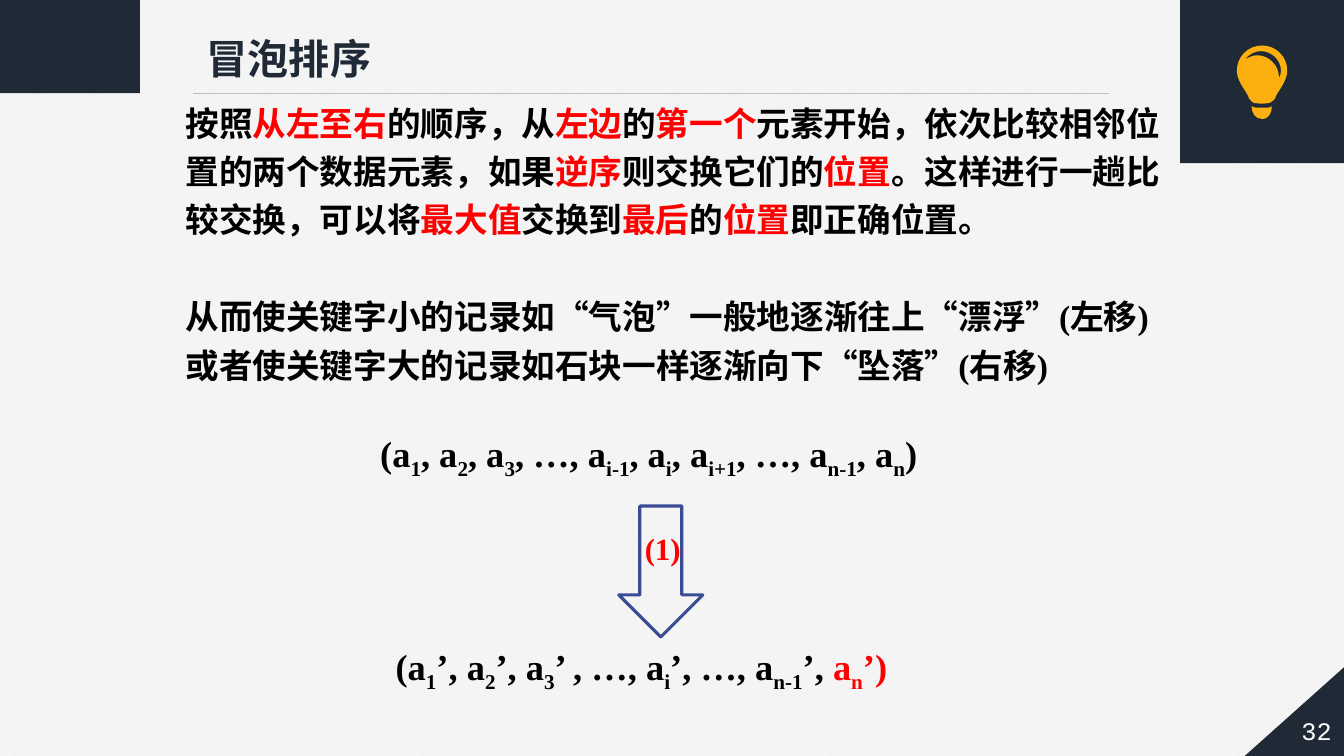
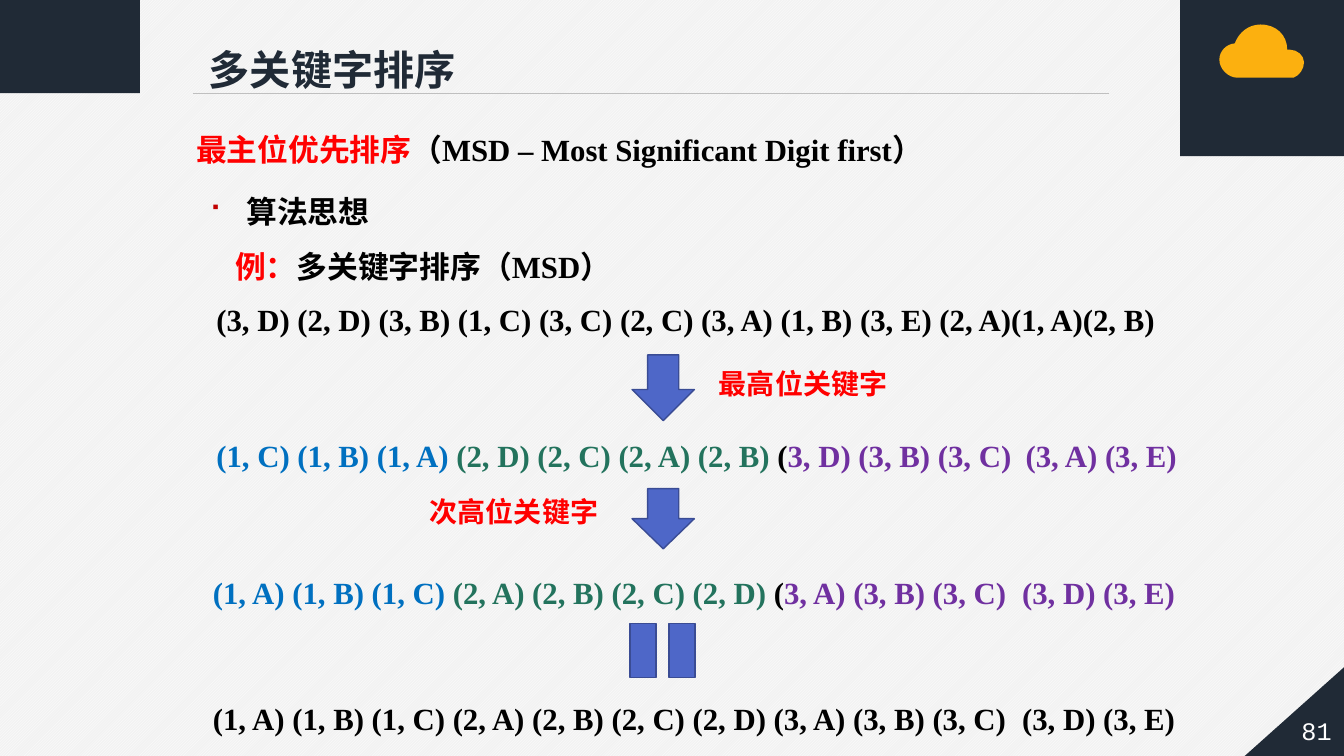
from lxml import etree
from pptx import Presentation
from pptx.dml.color import RGBColor
from pptx.enum.dml import MSO_PATTERN
from pptx.enum.lang import MSO_LANGUAGE_ID
from pptx.enum.shapes import MSO_CONNECTOR, MSO_SHAPE
from pptx.enum.text import MSO_ANCHOR, MSO_AUTO_SIZE, PP_ALIGN
from pptx.oxml.ns import qn
from pptx.util import Pt

PX = 6350  # EMU per px, 144 px to the inch
WIDTH, HEIGHT = 1920, 1080
BODY_FONT, NUMBER_FONT = "Times New Roman", "Courier New"
COLOURS = {
    "navy": "202A36", "amber": "FCB00F", "rule": "BFBFBF", "paper": "F2F2F2",
    "white": "FFFFFF", "black": "000000", "red": "FF0000", "bullet": "C00000",
    "blue": "0070C0", "green": "23735D", "purple": "7030A0",
    "arrow": "4E67C8", "edge": "3A4C94",
}
RECTANGLE, TRIANGLE = MSO_SHAPE.RECTANGLE, MSO_SHAPE.RIGHT_TRIANGLE
DOWN_ARROW, EQUALS, TAG = MSO_SHAPE.DOWN_ARROW, MSO_SHAPE.MATH_EQUAL, MSO_SHAPE.PENTAGON
STRAIGHT = MSO_CONNECTOR.STRAIGHT
DIAGONAL = MSO_PATTERN.LIGHT_UPWARD_DIAGONAL
CENTER, MIDDLE = PP_ALIGN.CENTER, MSO_ANCHOR.MIDDLE
FIT_SHAPE = MSO_AUTO_SIZE.SHAPE_TO_FIT_TEXT
CHINESE = MSO_LANGUAGE_ID.SIMPLIFIED_CHINESE

# Icon outlines: a start point, then three points for each Bézier curve
BULB_BASE = [
    (1790, 153), (1793, 154), (1797, 154), (1801, 154), (1801, 154), (1803, 154),
    (1803, 154), (1803, 154), (1803, 154), (1804, 154), (1809, 154), (1812, 154),
    (1816, 153), (1817, 153), (1817, 151), (1817, 151), (1817, 151), (1817, 151),
    (1817, 151), (1817, 161), (1813, 170), (1803, 170), (1793, 170), (1788, 161),
    (1788, 151), (1788, 151), (1788, 151), (1788, 151), (1788, 151), (1788, 153),
    (1790, 153),
]
BULB_GLASS = [
    (1803, 65), (1823, 65), (1839, 81), (1839, 101), (1839, 118), (1822, 134),
    (1822, 140), (1822, 141), (1819, 144), (1814, 147), (1812, 147), (1809, 148),
    (1806, 148), (1804, 148), (1803, 148), (1803, 148), (1800, 148), (1796, 148),
    (1791, 147), (1787, 144), (1784, 141), (1784, 140), (1784, 134), (1767, 118),
    (1767, 101), (1767, 81), (1783, 65), (1803, 65),
]
BULB_SHINE = [
    (1796, 79), (1813, 79), (1827, 94), (1827, 109), (1827, 111), (1827, 112),
    (1827, 112), (1829, 109), (1830, 105), (1830, 101), (1830, 86), (1817, 73),
    (1801, 73), (1793, 73), (1784, 78), (1778, 85), (1784, 82), (1790, 79),
    (1796, 79),
]
CLOUD = [
    (1764, 62), (1770, 46), (1784, 35), (1801, 35), (1823, 35), (1839, 50),
    (1839, 71), (1840, 71), (1842, 71), (1843, 71), (1853, 71), (1863, 79),
    (1863, 89), (1863, 99), (1856, 108), (1848, 111), (1768, 111), (1768, 111),
    (1768, 111), (1755, 111), (1742, 99), (1742, 85), (1742, 73), (1752, 63),
    (1764, 62),
]


def rgb(name):
    return RGBColor.from_string(COLOURS[name])


def px(*lengths):
    return [length * PX for length in lengths]


def highlighted(text):
    """Spans from text whose parts between bars are red."""
    return [(part, "red" if i % 2 else "black")
            for i, part in enumerate(text.split("|")) if part]


def series(text, colour="black"):
    """Spans from text whose parts between bars are subscripts."""
    return [(part, colour, i % 2) for i, part in enumerate(text.split("|"))]


class Slides:
    def __init__(self):
        self.deck = Presentation()
        self.deck.slide_width, self.deck.slide_height = px(WIDTH, HEIGHT)
        self.page = None

    def start(self, title, title_box, number, panel_top):
        """New page with background, bands, title and page number."""
        self.page = self.deck.slides.add_slide(self.deck.slide_layouts[6])
        fill = self.page.background.fill
        fill.patterned()
        fill.pattern = DIAGONAL
        fill.fore_color.rgb = rgb("white")
        fill.back_color.rgb = rgb("paper")
        self.shape(RECTANGLE, 0, 0, 200, 133, "navy")
        self.rule(276, 133, 1585)
        corner = self.shape(TRIANGLE, 1776, 948, 150, 134, "navy")
        tag = self.shape(TAG, 1793, 1004, 156, 79)
        for part in (corner, tag):
            part._element.spPr.xfrm.set("flipH", "1")
        tag.text_frame.vertical_anchor = MIDDLE
        para = tag.text_frame.paragraphs[0]
        para.alignment = CENTER
        self.spans(para, [(number, "white")], 18, NUMBER_FONT, False)
        self.text(*title_box, [[(title, "navy")]], 29.4, spacing=1.2)
        self.shape(RECTANGLE, 1686, panel_top, 234, 233, "navy")

    def paint(self, shape, fill, line=None, weight=1):
        shape.shadow.inherit = False
        if fill:
            shape.fill.solid()
            shape.fill.fore_color.rgb = rgb(fill)
        else:
            shape.fill.background()
        if line:
            shape.line.color.rgb = rgb(line)
            shape.line.width = Pt(weight)
        else:
            shape.line.fill.background()

    def shape(self, kind, left, top, width, height, fill=None, line=None, weight=1):
        shape = self.page.shapes.add_shape(kind, *px(left, top, width, height))
        self.paint(shape, fill, line, weight)
        return shape

    def rule(self, left, top, right):
        line = self.page.shapes.add_connector(STRAIGHT, *px(left, top, right, top))
        line.line.color.rgb = rgb("rule")
        line.line.width = Pt(0.5)
        etree.SubElement(line._element.spPr, qn("a:effectLst"))

    def icon(self, *outlines):
        """Filled shape; every three line points become one Bézier curve."""
        builder = self.page.shapes.build_freeform(*outlines[0][0], scale=PX)
        for i, outline in enumerate(outlines):
            if i:
                builder.move_to(*outline[0])
            builder.add_line_segments(outline[1:], close=True)
        shape = builder.convert_to_shape()
        lines = list(shape._element.iter(qn("a:lnTo")))
        for first, second, third in zip(lines[::3], lines[1::3], lines[2::3]):
            curve = etree.Element(qn("a:cubicBezTo"))
            first.addprevious(curve)
            for line in (first, second, third):
                curve.append(line[0])
                line.getparent().remove(line)
        self.paint(shape, "amber")
        return shape

    def spans(self, para, spans, size, font=BODY_FONT, bold=True):
        """Runs given as (text, colour[, subscript])."""
        for content, colour, *subscript in spans:
            span = para.add_run()
            span.text = content
            span.font.name = font
            span.font.size = Pt(size)
            span.font.bold = bold
            span.font.color.rgb = rgb(colour)
            span.font.language_id = CHINESE
            if any(subscript):
                span._r.get_or_add_rPr().set("baseline", "-25000")

    def text(self, left, top, width, height, paragraphs, size, spacing=1.0, gap=0, indent=0):
        """Text box; returns the properties of its first paragraph."""
        box = self.page.shapes.add_textbox(*px(left, top, width, height))
        frame = box.text_frame
        frame.word_wrap = True
        frame.auto_size = FIT_SHAPE
        for i, spans in enumerate(paragraphs):
            para = frame.add_paragraph() if i else frame.paragraphs[0]
            para.line_spacing = spacing
            if i and gap:
                para.space_before = Pt(gap)
            self.spans(para, spans, size)
        properties = frame.paragraphs[0]._p.get_or_add_pPr()
        if indent:
            properties.set("indent", str(indent * PX))
        return properties

    def bullet(self, left, top, width, height, text, size, indent):
        properties = self.text(left, top, width, height, [[(text, "black")]], size, 1.2,
                               indent=-indent)
        properties.set("marL", str(indent * PX))
        colour = etree.SubElement(properties, qn("a:buClr"))
        etree.SubElement(colour, qn("a:srgbClr"), val=COLOURS["bullet"])
        etree.SubElement(properties, qn("a:buFont"), typeface="Wingdings")
        etree.SubElement(properties, qn("a:buChar"), char="■")

    def keys(self, left, top, spans, height=85):
        """Row of key pairs; a tab stop places the last two pairs."""
        properties = self.text(left, top, 1459, height, [spans], 22, 1.5)
        stops = etree.SubElement(properties, qn("a:tabLst"))
        etree.SubElement(stops, qn("a:tab"), pos=str(1167 * PX), algn="l")


def bubble_sort(slides):
    slides.start("冒泡排序", (281, 27, 266, 92), "32", 0)
    bulb = [slides.icon(BULB_BASE), slides.icon(BULB_GLASS, BULB_SHINE)]
    slides.page.shapes.add_group_shape(bulb)
    slides.text(251, 128, 1426, 428, [
        highlighted("按照|从左至右|的顺序，从|左边|的|第一个|元素开始，依次比较相邻位置的"
                    "两个数据元素，如果|逆序|则交换它们的|位置|。这样进行一趟比较交换，可以将"
                    "|最大值|交换到|最后|的|位置|即正确位置。"),
        highlighted("从而使关键字小的记录如“气泡”一般地逐渐往上“漂浮”(左移)"
                    "或者使关键字大的记录如石块一样逐渐向下“坠落”(右移)"),
    ], 24, spacing=1.2, gap=34.5)

    # One pass over the series
    before = series("(a|1|, a|2|, a|3|, …, a|i-1|, a|i|, a|i+1|, …, a|n-1|, a|n|)")
    after = series("(a|1|’, a|2|’, a|3|’ , …, a|i|’, …, a|n-1|’, ") + series("a|n|’)", "red")
    slides.text(551, 913, 903, 78, [after], 26)
    slides.text(529, 609, 831, 78, [before], 26)
    slides.shape(DOWN_ARROW, 884, 723, 120, 187, line="edge", weight=2.25)
    slides.text(907, 749, 95, 68, [[("(1)", "red")]], 22)


def multi_key_sort(slides):
    slides.start("多关键字排序", (284, 42, 384, 92), "81", -10)
    slides.icon(CLOUD)
    slides.text(167, 154, 1227, 85, [highlighted(
        "|最主位优先排序|（MSD – Most Significant Digit first）")], 22, 1.5, indent=99)
    slides.bullet(284, 258, 1391, 73, "算法思想", 22, 54)
    slides.text(223, 321, 1335, 85, [highlighted("|例：|多关键字排序（MSD）")],
                22, 1.5, indent=99)

    # Key pairs before and after each step
    slides.keys(284, 396, [(" (3, D) (2, D) (3, B) (1, C) (3, C) (2, C) (3, A) (1, B) "
                            "(3, E) (2, A)(1, A)(2, B)", "black")])
    grouped = [
        (284, 590, 95, " (1, C) (1, B) (1, A) ", "(2, D) (2, C) (2, A) (2, B) ",
         "3, D) (3, B) (3, C)\t(3, A) (3, E)"),
        (279, 786, 85, " (1, A) (1, B) (1, C) ", "(2, A) (2, B) (2, C) (2, D) ",
         "3, A) (3, B) (3, C)\t(3, D) (3, E)"),
    ]
    for left, top, height, ones, twos, threes in grouped:
        slides.keys(left, top, [(ones, "blue"), (twos, "green"),
                                ("(", "black"), (threes, "purple")], height)
    slides.keys(279, 966, [("".join((ones, twos, "(", threes)), "black")])

    # Arrows, their labels and the equals sign
    for top, height, label_left, label_top, label in [
        (507, 94, 1013, 517, "最高位关键字"),
        (698, 86, 600, 699, "次高位关键字"),
    ]:
        slides.shape(DOWN_ARROW, 903, top, 89, height, "arrow", "edge")
        slides.text(label_left, label_top, 289, 63, [[(label, "red")]], 20)
    slides.shape(EQUALS, 894, 850, 105, 158, "arrow", "edge").rotation = 90


def main():
    slides = Slides()
    bubble_sort(slides)
    multi_key_sort(slides)
    slides.deck.save("out.pptx")


if __name__ == "__main__":
    main()
